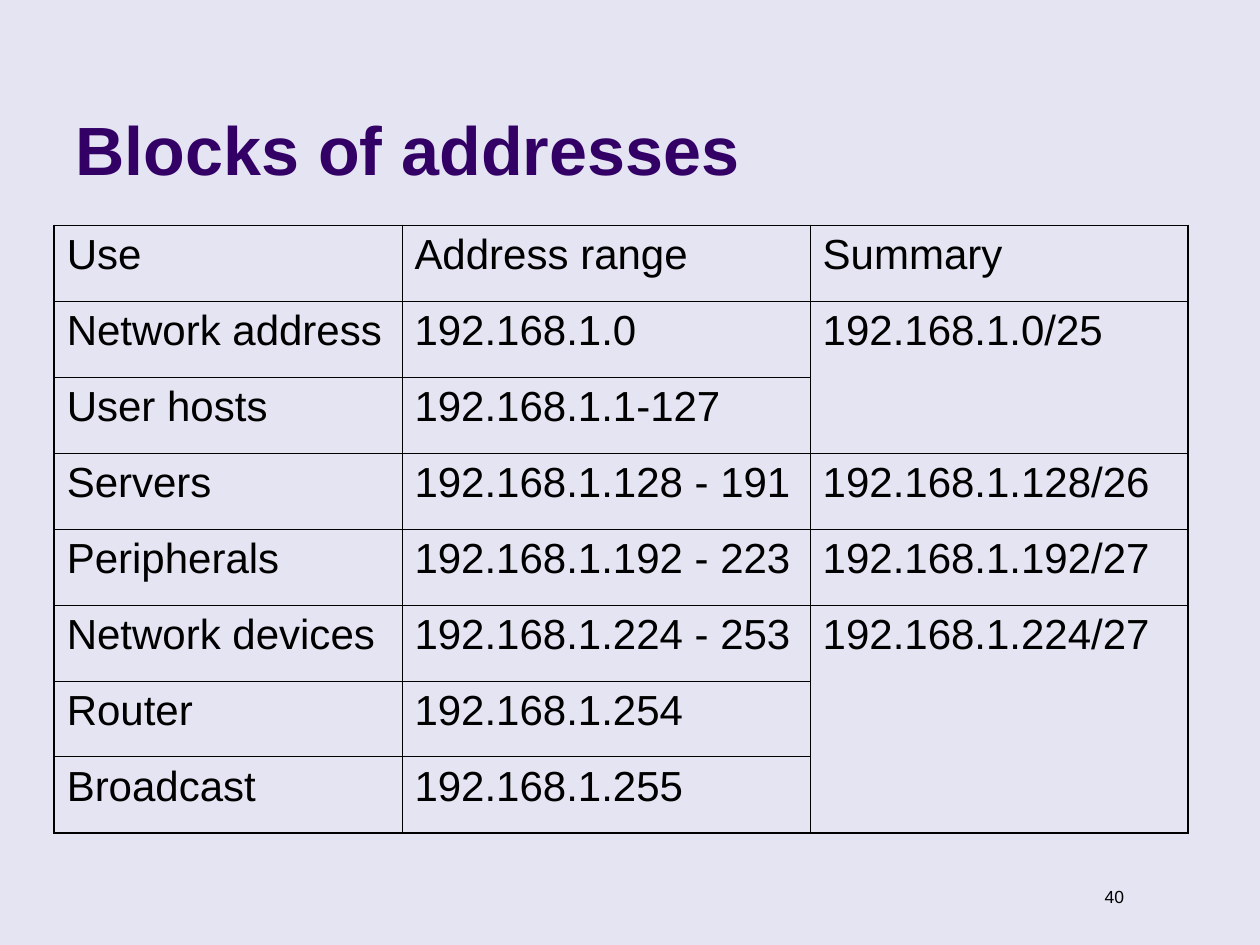
from lxml.etree import fromstring
from pptx import Presentation
from pptx.dml.color import RGBColor
from pptx.enum.text import MSO_ANCHOR, MSO_AUTO_SIZE, PP_ALIGN
from pptx.util import Inches, Pt

COLORS = {"back": "E4E4F2", "title": "330066", "text": "000000", "line": "000000"}
FONT = "Arial"
NO_STYLE = "{2D5ABB26-0587-4C30-8999-92F81FD0307C}"
DRAW_NS = "http://schemas.openxmlformats.org/drawingml/2006/main"
THICK, THIN = Pt(1.08), Pt(0.45)
WIDTHS = (2.76, 3.24, 3)
MERGES = ((1, 2), (5, 7))
ROWS = (
    ("Use", "Address range", "Summary"),
    ("Network address", "192.168.1.0", "192.168.1.0/25"),
    ("User hosts", "192.168.1.1-127", ""),
    ("Servers", "192.168.1.128 - 191", "192.168.1.128/26"),
    ("Peripherals", "192.168.1.192 - 223", "192.168.1.192/27"),
    ("Network devices", "192.168.1.224 - 253", "192.168.1.224/27"),
    ("Router", "192.168.1.254", ""),
    ("Broadcast", "192.168.1.255", ""),
)


def write(frame, text, size, color="text", bold=False, align=PP_ALIGN.LEFT, before=0):
    """Write one styled run in the first paragraph of a frame."""
    para = frame.paragraphs[0]
    para.alignment = align
    para.space_before = Pt(before)
    run = para.add_run()
    run.text = text
    font = run.font
    font.name, font.size, font.bold = FONT, Pt(size), bold
    font.color.rgb = RGBColor.from_string(COLORS[color])


def add_title(slide, text):
    """Place and fill the title."""
    title = slide.shapes.title
    title.left, title.top = Inches(0.5), Inches(0.13)
    title.width, title.height = Inches(8.25), Inches(1.42)
    frame = title.text_frame
    frame.auto_size = MSO_AUTO_SIZE.NONE
    frame.vertical_anchor = MSO_ANCHOR.BOTTOM
    write(frame, text, 39, "title", bold=True)


def add_number(slide, text):
    """Add the page number."""
    box = slide.shapes.add_textbox(Inches(8.39), Inches(6.98), Inches(0.63), Inches(0.27))
    box.text_frame.word_wrap = True
    write(box.text_frame, text, 10, align=PP_ALIGN.RIGHT, before=6.2)


def add_edges(cell, edges):
    """Draw the given edges of a cell, keyed by side."""
    props = cell._tc.get_or_add_tcPr()
    for spot, (side, width) in enumerate(edges.items()):
        props.insert(spot, fromstring(
            f'<a:ln{side} xmlns:a="{DRAW_NS}" w="{int(width)}"><a:solidFill>'
            f'<a:srgbClr val="{COLORS["line"]}"/></a:solidFill></a:ln{side}>'))


def find_edges(grid, row, col):
    """Return edge widths: thick outside, thin inside, none within a merge."""
    cell, last = grid.cell(row, col), len(ROWS) - 1
    end = row + cell.span_height - 1 if cell.is_merge_origin else row
    edges = {
        "L": THIN if col else THICK,
        "R": THICK if col == len(WIDTHS) - 1 else THIN,
    }
    if not cell.is_spanned:
        edges["T"] = THIN if row else THICK
    if end == last or not grid.cell(end + 1, col).is_spanned:
        edges["B"] = THICK if end == last else THIN
    return edges


def add_grid(slide):
    """Add the address table."""
    shape = slide.shapes.add_table(len(ROWS), len(WIDTHS), Inches(0.43), Inches(1.79),
                                   Inches(9), Inches(4.82))
    grid = shape.table
    grid.first_row = grid.horz_banding = False
    grid._tbl.tblPr.find(f"{{{DRAW_NS}}}tableStyleId").text = NO_STYLE
    for col, width in zip(grid.columns, WIDTHS):
        col.width = Inches(width)
    for first, last in MERGES:
        grid.cell(first, 2).merge(grid.cell(last, 2))
    for row, texts in enumerate(ROWS):
        for col, text in enumerate(texts):
            cell = grid.cell(row, col)
            cell.fill.background()
            add_edges(cell, find_edges(grid, row, col))
            if text:
                write(cell.text_frame, text, 24, before=6)


def main():
    """Build and save the slide."""
    deck = Presentation()
    deck.slide_width, deck.slide_height = Inches(10), Inches(7.5)
    slide = deck.slides.add_slide(deck.slide_layouts[5])
    fill = slide.background.fill
    fill.solid()
    fill.fore_color.rgb = RGBColor.from_string(COLORS["back"])
    add_number(slide, "40")
    add_title(slide, "Blocks of addresses")
    add_grid(slide)
    deck.save("out.pptx")


main()
